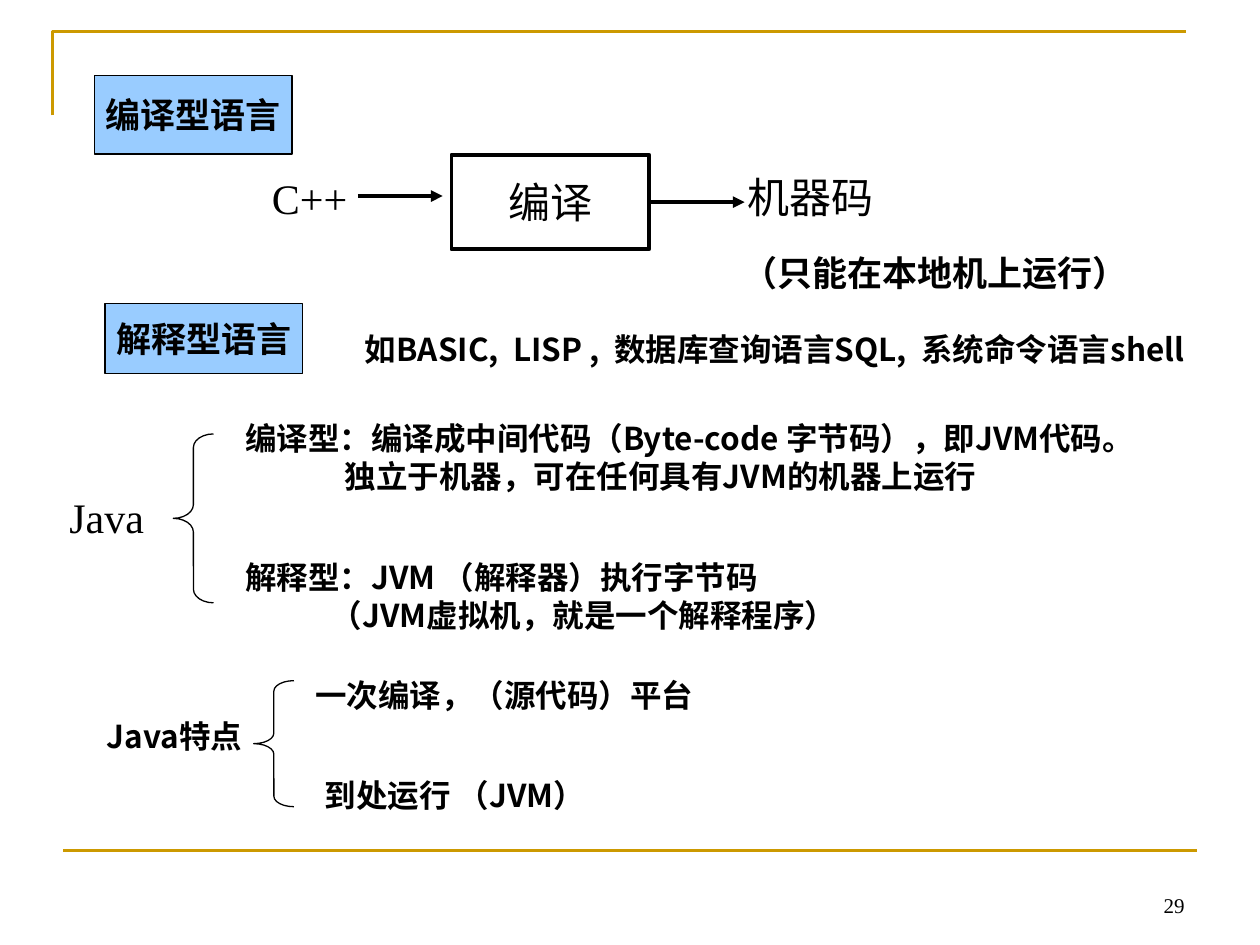
from dataclasses import dataclass

import lxml.etree
import pptx
import pptx.dml.color
import pptx.enum.shapes
import pptx.enum.text
import pptx.oxml.ns
import pptx.util

Pt = pptx.util.Pt
RGB = pptx.dml.color.RGBColor.from_string
SHAPE = pptx.enum.shapes.MSO_SHAPE
STRAIGHT = pptx.enum.shapes.MSO_CONNECTOR.STRAIGHT
ALIGN = pptx.enum.text.PP_ALIGN
ANCHOR = pptx.enum.text.MSO_ANCHOR
qn = pptx.oxml.ns.qn


@dataclass(frozen=True)
class Theme:
    ink: str = "000000"
    paper: str = "FFFFFF"
    heading_fill: str = "99CCFF"
    rule: str = "CC9900"
    sans: str = "Noto Sans CJK SC"
    serif: str = "Times New Roman"
    arial: str = "Arial"
    term: int = 24
    heading: int = 20
    body: int = 18
    number: int = 12
    thin: float = 0.75
    medium: float = 1.5
    thick: float = 2.25
    leading: float = 1.2


THEME = Theme()


@dataclass(frozen=True)
class Box:
    left: float
    top: float
    width: float
    height: float

    def inner(self, left, top, width, height):
        return Box(self.left + left, self.top + top, width, height)

    def lengths(self):
        return [Pt(v) for v in (self.left, self.top, self.width, self.height)]


def apply(target, values):
    for name, value in values.items():
        setattr(target, name, value)


def set_line(shape, color, weight):
    shape.line.color.rgb = RGB(color)
    shape.line.width = Pt(weight)


def write(frame, lines, size, font, bold=False, align=ALIGN.LEFT, indent=0):
    for index, line in enumerate(lines):
        paragraph = frame.paragraphs[0] if index == 0 else frame.add_paragraph()
        apply(paragraph, {"alignment": align, "line_spacing": Pt(size * THEME.leading)})
        if index and indent:
            paragraph._p.get_or_add_pPr().set("marL", str(Pt(indent)))
        run = paragraph.add_run()
        run.text = line
        apply(run.font, {"size": Pt(size), "bold": bold, "name": font})
        run.font.color.rgb = RGB(THEME.ink)
        east_asian = lxml.etree.Element(qn("a:ea"), typeface=THEME.sans)
        run._r.rPr.find(qn("a:latin")).addnext(east_asian)


def add_text(slide, box, lines, size=THEME.body, font=THEME.sans, bold=True,
             align=ALIGN.LEFT, anchor=ANCHOR.TOP, indent=0):
    frame = slide.shapes.add_textbox(*box.lengths()).text_frame
    apply(frame, {"word_wrap": True, "vertical_anchor": anchor})
    write(frame, lines, size, font, bold, align, indent)


def add_label(slide, box, text, font=THEME.sans, size=THEME.term, bold=False,
              fill=THEME.paper, outline=THEME.paper, weight=THEME.thick):
    label = slide.shapes.add_shape(SHAPE.RECTANGLE, *box.lengths())
    label.shadow.inherit = False
    label.fill.solid()
    label.fill.fore_color.rgb = RGB(fill)
    set_line(label, outline, weight)
    apply(label.text_frame, {"word_wrap": False, "vertical_anchor": ANCHOR.MIDDLE})
    write(label.text_frame, [text], size, font, bold, ALIGN.CENTER)
    return label


def add_heading(slide, box, text, font):
    add_label(slide, box, text, font, THEME.heading, True,
              THEME.heading_fill, THEME.ink, THEME.thin)


def add_rule(slide, start, end, color, weight, arrow=False):
    rule = slide.shapes.add_connector(STRAIGHT, *[Pt(v) for v in (*start, *end)])
    set_line(rule, color, weight)
    if arrow:
        lxml.etree.SubElement(rule.line._get_or_add_ln(), qn("a:tailEnd"), type="triangle")
    lxml.etree.SubElement(rule._element.spPr, qn("a:effectLst"))
    return rule


def add_brace(slide, box, curl):
    brace = slide.shapes.add_shape(SHAPE.LEFT_BRACE, *box.lengths())
    brace.shadow.inherit = False
    brace.adjustments[0] = curl
    brace.fill.background()
    set_line(brace, THEME.ink, THEME.thin)


def page_frame(slide, box):
    right = box.left + box.width
    bottom = box.top + box.height
    builder = slide.shapes.build_freeform(Pt(box.left), Pt(box.top + 48))
    builder.add_line_segments(
        [(Pt(box.left), Pt(box.top)), (Pt(right - 6), Pt(box.top))], close=False)
    corner = builder.convert_to_shape()
    corner.shadow.inherit = False
    corner.fill.background()
    set_line(corner, THEME.rule, THEME.medium)
    add_rule(slide, (box.left + 6, bottom), (right, bottom), THEME.rule, THEME.medium)
    add_text(slide, box.inner(box.width - 168, box.height + 6, 168, 36), ["29"],
             THEME.number, THEME.serif, False, ALIGN.RIGHT, ANCHOR.BOTTOM)


def compiled_languages(slide, box):
    add_heading(slide, box.inner(0, 0, 113, 45), "编译型语言", THEME.arial)
    compiler = add_label(slide, box.inner(204, 45.5, 113, 54), "编译", outline=THEME.ink)
    add_label(slide, box.inner(102, 58, 42, 24), "C++", THEME.serif)
    add_label(slide, box.inner(385, 51.5, 48, 36), "机器码")
    source_y, output_y = box.top + 69, box.top + 72.5
    add_rule(slide, (box.left + 150.5, source_y), (box.left + 199, source_y),
             THEME.ink, THEME.thick, True)
    output = add_rule(slide, (box.left + 317, output_y), (box.left + 371.5, output_y),
                      THEME.ink, THEME.thick, True)
    output.begin_connect(compiler, 3)
    add_text(slide, box.inner(363, 97, 244, 31), ["（只能在本地机上运行）"], THEME.heading)


def interpreted_languages(slide, box):
    add_heading(slide, box.inner(0, 0, 113, 40), "解释型语言", THEME.sans)
    add_text(slide, box.inner(141.5, 11.5, 499, 29),
             ["如BASIC,  LISP ,  数据库查询语言SQL,  系统命令语言shell"])


def java_execution(slide, box):
    add_label(slide, box.inner(0, 40, 72, 38), "Java", THEME.serif)
    add_brace(slide, box.inner(74, 12, 23, 96.5), 0.34)
    add_text(slide, box.inner(108, 0, 527, 50),
             ["编译型：编译成中间代码（Byte-code 字节码），即JVM代码。",
              "独立于机器，可在任何具有JVM的机器上运行"], indent=57)
    add_text(slide, box.inner(108, 79.5, 442, 50),
             ["解释型：JVM （解释器）执行字节码",
              "（JVM虚拟机，就是一个解释程序）"], indent=49)


def java_features(slide, box):
    add_text(slide, box.inner(0, 23, 125, 29), ["Java特点"])
    add_brace(slide, box.inner(91, 6, 23, 72), 0.26)
    add_text(slide, box.inner(119, 0, 335, 29), ["一次编译，（源代码）平台"])
    add_text(slide, box.inner(124.5, 57, 204, 29), ["到处运行 （JVM）"])


def main():
    deck = pptx.Presentation()
    apply(deck, {"slide_width": Pt(720), "slide_height": Pt(540)})
    slide = deck.slides.add_slide(deck.slide_layouts[6])
    page_frame(slide, Box(30, 18, 654, 468))
    compiled_languages(slide, Box(54, 43, 607, 128))
    interpreted_languages(slide, Box(60, 173.5, 640, 41))
    java_execution(slide, Box(25, 236, 635, 130))
    java_features(slide, Box(54, 383, 454, 86))
    deck.save("out.pptx")


if __name__ == "__main__":
    main()
